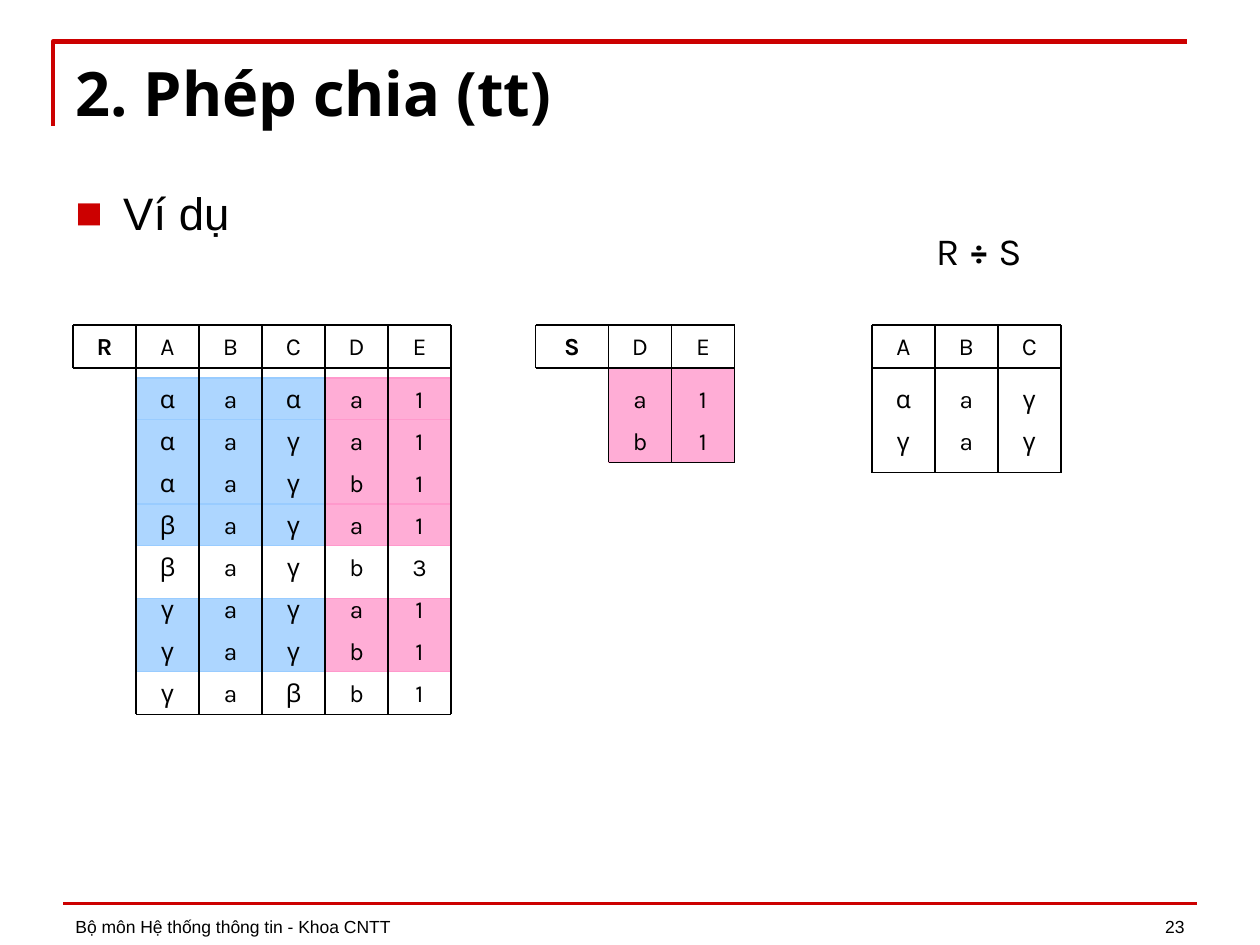
from lxml import etree
from pptx import Presentation
from pptx.dml.color import RGBColor
from pptx.enum.shapes import MSO_CONNECTOR, MSO_SHAPE
from pptx.enum.text import MSO_ANCHOR, MSO_AUTO_SIZE, PP_ALIGN
from pptx.oxml.ns import qn
from pptx.util import Inches, Pt

STRAIGHT = MSO_CONNECTOR.STRAIGHT
RECTANGLE = MSO_SHAPE.RECTANGLE
TOP, MIDDLE, BOTTOM = MSO_ANCHOR.TOP, MSO_ANCHOR.MIDDLE, MSO_ANCHOR.BOTTOM
LEFT, CENTER, RIGHT = PP_ALIGN.LEFT, PP_ALIGN.CENTER, PP_ALIGN.RIGHT
JUSTIFY = PP_ALIGN.JUSTIFY
FIT_SHAPE = MSO_AUTO_SIZE.SHAPE_TO_FIT_TEXT
BOTTOM_SITE = 2

COLORS = {"red": "CC0000", "black": "000000", "blue": "99CCFF", "pink": "FF99CC"}

# Shared measures of the three relations, in inches
GRID_TOP, HEADER_BOTTOM, BODY_TOP = 2.58, 2.92, 3
COLUMN, ROW = 0.5, 1 / 3
R_LEFT, S_LEFT, RESULT_LEFT = 1.08, 4.83, 6.92


class SlideBuilder:
    """Holds the style and the slide being built."""

    def __init__(self, page):
        self.page = page
        self.shapes = page.shapes

    def color(self, name):
        return RGBColor.from_string(COLORS[name])

    def text(self, left, top, width, height, runs, size, font, align=LEFT,
             anchor=TOP, grow=False):
        """Add a one-paragraph text box; runs are (text, bold) pairs."""
        box = self.shapes.add_textbox(
            Inches(left), Inches(top), Inches(width), Inches(height))
        frame = box.text_frame
        frame.word_wrap = True
        frame.vertical_anchor = anchor
        if grow:
            frame.auto_size = FIT_SHAPE
        para = frame.paragraphs[0]
        para.alignment = align
        for words, bold in runs:
            span = para.add_run()
            span.text = words
            span.font.size = Pt(size)
            span.font.name = font
            span.font.bold = bold
            span.font.color.rgb = self.color("black")
        return para

    def bullet(self, para, indent):
        """Give a paragraph a red square bullet with a hanging indent."""
        props = para._p.get_or_add_pPr()
        props.set("marL", str(Inches(indent)))
        props.set("indent", str(-Inches(indent)))
        color = etree.SubElement(props, qn("a:buClr"))
        etree.SubElement(color, qn("a:srgbClr"), val=COLORS["red"])
        etree.SubElement(props, qn("a:buFont"), typeface="Arial")
        etree.SubElement(props, qn("a:buChar"), char="■")

    def line(self, x1, y1, x2, y2, color="black", weight=1):
        rule = self.shapes.add_connector(
            STRAIGHT, Inches(x1), Inches(y1), Inches(x2), Inches(y2))
        rule.line.color.rgb = self.color(color)
        rule.line.width = Pt(weight)
        etree.SubElement(rule._element.spPr, qn("a:effectLst"))
        return rule

    def outline(self, points, color, weight):
        """Draw an open, unfilled path."""
        corners = [(Inches(x), Inches(y)) for x, y in points]
        builder = self.shapes.build_freeform(*corners[0], scale=1.0)
        builder.add_line_segments(corners[1:], close=False)
        shape = builder.convert_to_shape()
        shape.shadow.inherit = False
        shape.fill.background()
        shape.line.color.rgb = self.color(color)
        shape.line.width = Pt(weight)

    def band(self, left, top, width, height, color):
        """Add a translucent highlight behind some rows."""
        shape = self.shapes.add_shape(
            RECTANGLE, Inches(left), Inches(top), Inches(width), Inches(height))
        shape.shadow.inherit = False
        shape.fill.solid()
        shape.fill.fore_color.rgb = self.color(color)
        fill_color = shape._element.spPr.find(qn("a:solidFill")).find(qn("a:srgbClr"))
        etree.SubElement(fill_color, qn("a:alpha"), val="80000")
        shape.line.color.rgb = self.color(color)
        shape.line.width = Pt(1)
        return shape

    def cell(self, left, top, words, width=COLUMN, bold=False):
        self.text(left, top, width, 0.33, [(words, bold)], 14, "Karla",
                  CENTER, grow=True)

    def relation(self, left, bottom, header, rows, name="", name_width=0):
        """Draw a relation and return its vertical rules."""
        right = left + COLUMN * len(header)
        start = left - name_width
        for y, x in ((GRID_TOP, start), (HEADER_BOTTOM, start), (bottom, left)):
            self.line(x, y, right, y)
        rules = []
        for index in range(len(header) + 1):
            x = left + COLUMN * index
            rules.append(self.line(x, GRID_TOP, x, bottom))
        if name:
            self.line(start, GRID_TOP, start, HEADER_BOTTOM)
            self.cell(start, GRID_TOP, name, name_width, bold=True)
        tops = [GRID_TOP] + [BODY_TOP + ROW * index for index in range(len(rows))]
        for top, values in zip(tops, [header, *rows]):
            for index, value in enumerate(values):
                self.cell(left + COLUMN * index, top, value)
        return rules


def main():
    deck = Presentation()
    deck.slide_width, deck.slide_height = Inches(10), Inches(7.5)
    page = deck.slides.add_slide(deck.slide_layouts[6])
    slide = SlideBuilder(page)

    # Frame and footer
    slide.outline([(0.42, 1), (0.42, 0.33), (9.42, 0.33)], "red", 2.5)
    slide.line(0.5, 7.17, 9.5, 7.17, "red", 2)
    slide.text(0.5, 6.99, 6.08, 0.5,
               [("Bộ môn Hệ thống thông tin - Khoa CNTT", False)],
               10, "Arial", anchor=BOTTOM)
    slide.text(7.17, 6.99, 2.33, 0.5, [("23", False)], 10, "Arial", RIGHT, BOTTOM)

    # Highlights: blue over A-C and pink over D-E of R, pink over S
    for top, height in ((4.75, 0.58), (4, 0.33), (3.33, 0.67), (3, 0.33)):
        slide.band(R_LEFT, top, 3 * COLUMN, height, "blue")
        slide.band(R_LEFT + 3 * COLUMN, top, 2 * COLUMN, height, "pink")
    s_band = slide.band(S_LEFT, HEADER_BOTTOM, 2 * COLUMN, 0.75, "pink")

    # Title and body
    slide.text(0.5, 0.39, 9.33, 0.68, [("2. Phép chia (tt)", True)],
               35, "Open Sans", anchor=MIDDLE)
    example = slide.text(0.5, 1.42, 9, 5.67, [("Ví dụ", False)],
                         26, "Arial", JUSTIFY)
    slide.bullet(example, 0.38)

    # Relations R, S and their quotient
    r_rows = ["αaαa1", "αaγa1", "αaγb1", "βaγa1",
              "βaγb3", "γaγa1", "γaγb1", "γaβb1"]
    slide.relation(R_LEFT, 5.67, "ABCDE", r_rows, "R", 0.5)
    s_rules = slide.relation(S_LEFT, 3.67, "DE", ["a1", "b1"], "S", 0.58)
    s_rules[1].end_connect(s_band, BOTTOM_SITE)
    slide.text(7.33, 1.75, 1.17, 0.47,
               [("R ", False), ("÷", True), (" S", False)], 22, "Karla", grow=True)
    slide.relation(RESULT_LEFT, 3.75, "ABC", ["αaγ", "γaγ"])

    deck.save("out.pptx")


if __name__ == "__main__":
    main()
